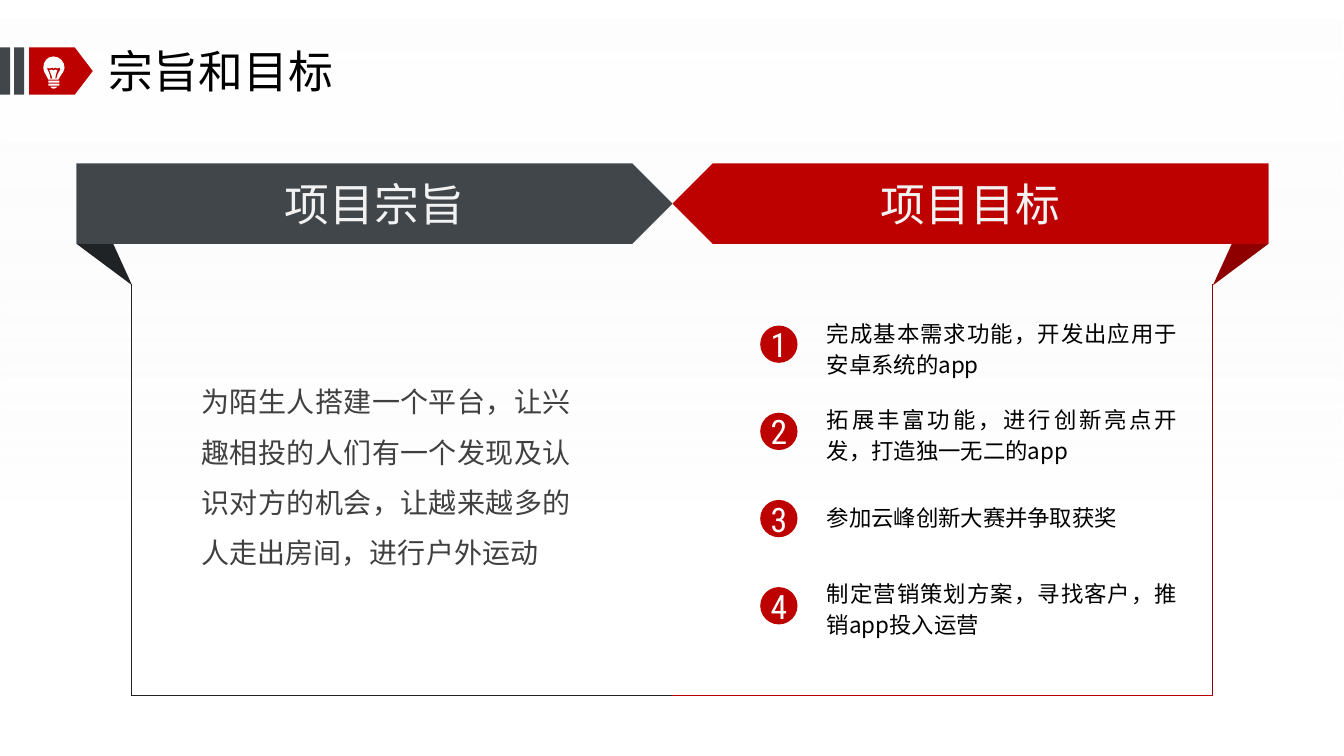
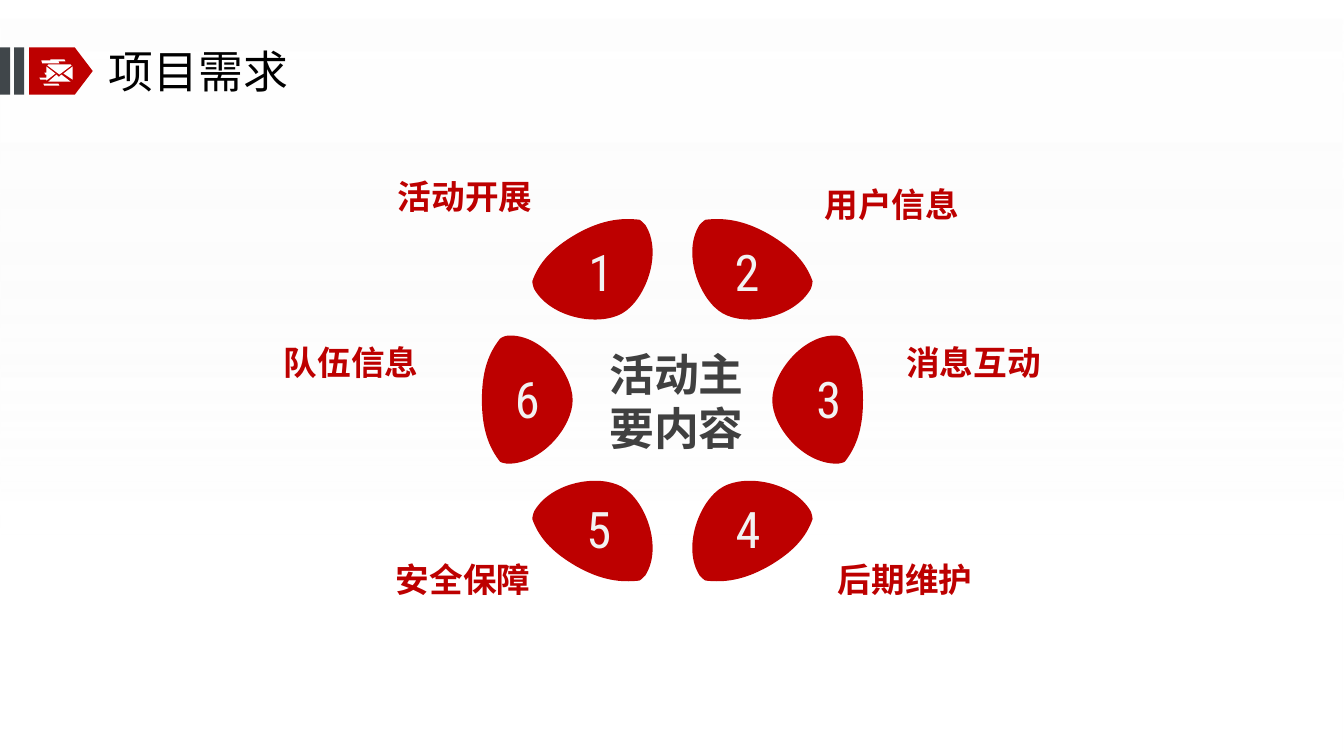
from lxml import etree
from pptx import Presentation
from pptx.dml.color import RGBColor
from pptx.enum.shapes import MSO_CONNECTOR, MSO_SHAPE
from pptx.enum.text import MSO_ANCHOR, PP_ALIGN
from pptx.oxml.ns import qn
from pptx.util import Inches, Pt

LEFT, CENTER, RIGHT, JUSTIFY = PP_ALIGN.LEFT, PP_ALIGN.CENTER, PP_ALIGN.RIGHT, PP_ALIGN.JUSTIFY
TOP, MIDDLE = MSO_ANCHOR.TOP, MSO_ANCHOR.MIDDLE
RECTANGLE, PENTAGON, OVAL = MSO_SHAPE.RECTANGLE, MSO_SHAPE.PENTAGON, MSO_SHAPE.OVAL
STRAIGHT = MSO_CONNECTOR.STRAIGHT

RED = RGBColor(0xBD, 0x00, 0x00)
RULE_RED = RGBColor(0xB9, 0x00, 0x00)
DARK_RED = RGBColor(0x8E, 0x00, 0x00)
GREY = RGBColor(0x40, 0x46, 0x4A)
DARK_GREY = RGBColor(0x20, 0x23, 0x25)
TEXT_GREY = RGBColor(0x40, 0x40, 0x40)
PALE = RGBColor(0xF2, 0xF2, 0xF2)
WHITE = RGBColor(0xFF, 0xFF, 0xFF)
BLACK = RGBColor(0x00, 0x00, 0x00)
HAN_FONT, NUMBER_FONT = "Noto Sans CJK SC", "Roboto Condensed"

PAGE_WIDTH, PAGE_HEIGHT = 13.33, 7.5
CENTER_X, WHEEL_Y = 6.67, 3.97

PURPOSE = "为陌生人搭建一个平台，让兴趣相投的人们有一个发现及认识对方的机会，让越来越多的人走出房间，进行户外运动"
GOALS = [
    (3.14, "完成基本需求功能，开发出应用于安卓系统的app"),
    (3.99, "拓展丰富功能，进行创新亮点开发，打造独一无二的app"),
    (4.96, "参加云峰创新大赛并争取获奖"),
    (5.72, "制定营销策划方案，寻找客户，推销app投入运营"),
]
PANELS = [
    ("项目宗旨", GREY, DARK_GREY, DARK_GREY, False),
    ("项目目标", RED, DARK_RED, RULE_RED, True),
]
BANNER_LEFT, BANNER_TOP, BANNER_HEIGHT = 0.76, 1.62, 0.8
FRAME_LEFT, FRAME_TOP, FRAME_BOTTOM = 1.3, 2.82, 6.9
FOLD = [[(0.76, 1.62), (1.31, 2.83), (0.76, 2.42)]]

CORNER_PETAL = [[
    (6.34, 2.18), (6.16, 2.16, 5.97, 2.18, 5.72, 2.32), (5.46, 2.47, 5.34, 2.62, 5.28, 2.79),
    (5.28, 2.81, 5.29, 2.85, 5.3, 2.87), (5.47, 3.16, 5.94, 3.24, 6.17, 3.11),
    (6.4, 2.98, 6.58, 2.51, 6.4, 2.23), (6.38, 2.21, 6.35, 2.18, 6.34, 2.18),
]]
SIDE_PETAL = [[
    (4.96, 3.36), (4.85, 3.5, 4.78, 3.67, 4.78, 3.97), (4.78, 4.26, 4.85, 4.44, 4.96, 4.58),
    (4.97, 4.59, 5.02, 4.6, 5.04, 4.6), (5.38, 4.6, 5.68, 4.23, 5.68, 3.97),
    (5.68, 3.7, 5.37, 3.31, 5.04, 3.33), (5.01, 3.33, 4.97, 3.35, 4.96, 3.36),
]]
TOPICS = [
    ("活动开展", CORNER_PETAL, False, False, (5.96, 2.69), (3.34, 1.75), RIGHT),
    ("用户信息", CORNER_PETAL, True, False, (7.41, 2.69), (8.18, 1.82), LEFT),
    ("消息互动", SIDE_PETAL, True, False, (8.22, 3.95), (8.99, 3.39), LEFT),
    ("后期维护", CORNER_PETAL, True, True, (7.42, 5.24), (8.31, 5.54), LEFT),
    ("安全保障", CORNER_PETAL, False, True, (5.94, 5.24), (3.32, 5.54), RIGHT),
    ("队伍信息", SIDE_PETAL, False, False, (5.23, 3.95), (2.21, 3.39), RIGHT),
]

BULB = [
    [(0.5, 0.86), (0.5, 0.87, 0.52, 0.88, 0.53, 0.88), (0.55, 0.88, 0.56, 0.87, 0.57, 0.86)],
    [(0.48, 0.83), (0.59, 0.83), (0.59, 0.85), (0.48, 0.85)],
    [(0.48, 0.8), (0.59, 0.8), (0.59, 0.82), (0.48, 0.82)],
    [(0.53, 0.56), (0.47, 0.56, 0.43, 0.61, 0.43, 0.67), (0.43, 0.71, 0.45, 0.73, 0.47, 0.77),
     (0.48, 0.79), (0.58, 0.79), (0.59, 0.77), (0.61, 0.73, 0.64, 0.71, 0.64, 0.67),
     (0.64, 0.61, 0.59, 0.56, 0.53, 0.56)],
    [(0.6, 0.69), (0.58, 0.71, 0.57, 0.74, 0.56, 0.78), (0.55, 0.78),
     (0.55, 0.74, 0.56, 0.72, 0.57, 0.7), (0.55, 0.69), (0.53, 0.7), (0.51, 0.69), (0.49, 0.7),
     (0.51, 0.73, 0.51, 0.76, 0.52, 0.78), (0.5, 0.78), (0.5, 0.76, 0.49, 0.72, 0.47, 0.69),
     (0.47, 0.67), (0.49, 0.68), (0.52, 0.67), (0.53, 0.68), (0.55, 0.67), (0.57, 0.68),
     (0.59, 0.67)],
]
ENVELOPE = [
    [(0.48, 0.64), (0.7, 0.64), (0.71, 0.65), (0.59, 0.74), (0.47, 0.65)],
    [(0.44, 0.72), (0.45, 0.74), (0.46, 0.74), (0.46, 0.77), (0.39, 0.77), (0.4, 0.79),
     (0.46, 0.79), (0.46, 0.8), (0.55, 0.73), (0.46, 0.66), (0.46, 0.72)],
    [(0.43, 0.83), (0.58, 0.83), (0.59, 0.85), (0.44, 0.85)],
    [(0.5, 0.59), (0.64, 0.59), (0.65, 0.61), (0.58, 0.61), (0.59, 0.63), (0.42, 0.63),
     (0.41, 0.6), (0.5, 0.6)],
    [(0.72, 0.66), (0.63, 0.73), (0.72, 0.79)],
    [(0.7, 0.81), (0.48, 0.81), (0.56, 0.74), (0.58, 0.76), (0.59, 0.76), (0.61, 0.74)],
]


def write(shape, text, size=16, color=BLACK, font=HAN_FONT, bold=False, align=LEFT,
          anchor=TOP, spacing=None, wrap=True):
    frame = shape.text_frame
    frame.word_wrap = wrap
    frame.vertical_anchor = anchor
    frame.margin_left = frame.margin_right = frame.margin_top = frame.margin_bottom = 0
    para = frame.paragraphs[0]
    para.alignment = align
    para._p.get_or_add_pPr().set("hangingPunct", "0")
    if spacing:
        para.line_spacing = spacing
    span = para.add_run()
    span.text = text
    span.font.size = Pt(size)
    span.font.bold = bold
    span.font.color.rgb = color
    span.font.name = font
    etree.SubElement(span.font._element, qn("a:ea"), typeface=font)


def add_text(page, left, top, width, height, text, **style):
    box = page.shapes.add_textbox(Inches(left), Inches(top), Inches(width), Inches(height))
    write(box, text, **style)


def paint(shape, color):
    shape.shadow.inherit = False
    shape.fill.solid()
    shape.fill.fore_color.rgb = color
    shape.line.fill.background()


def add_block(page, kind, left, top, width, height, color):
    shape = page.shapes.add_shape(kind, Inches(left), Inches(top), Inches(width), Inches(height))
    paint(shape, color)
    return shape


def add_rule(page, x1, y1, x2, y2, color):
    rule = page.shapes.add_connector(STRAIGHT, Inches(x1), Inches(y1), Inches(x2), Inches(y2))
    rule.line.color.rgb = color
    rule.line.width = Pt(0.75)
    etree.SubElement(rule._element.spPr, qn("a:effectLst"))


def bend(shape, sizes):
    lines = iter(list(shape._element.iter(qn("a:lnTo"))))
    for size in sizes:
        segment = next(lines)
        if size == 3:
            segment.tag = qn("a:cubicBezTo")
            for extra in (next(lines), next(lines)):
                segment.append(extra[0])
                extra.getparent().remove(extra)


def add_outline(page, contours, color, flip_x=False, flip_y=False):
    builder, sizes = None, []
    for contour in contours:
        sizes += [len(segment) // 2 for segment in contour[1:]]
        pairs = [pair for segment in contour for pair in zip(segment[::2], segment[1::2])]
        points = [(Inches(2 * CENTER_X - x if flip_x else x), Inches(2 * WHEEL_Y - y if flip_y else y))
                  for x, y in pairs]
        if builder is None:
            builder = page.shapes.build_freeform(*points[0])
        else:
            builder.move_to(*points[0])
        builder.add_line_segments(points[1:], close=True)
    shape = builder.convert_to_shape()
    bend(shape, sizes)
    paint(shape, color)


def add_page(deck, title, icon):
    page = deck.slides.add_slide(deck.slide_layouts[6])
    veil = add_block(page, RECTANGLE, 0, 0, PAGE_WIDTH, PAGE_HEIGHT, WHITE)
    veil.fill.gradient()
    veil.fill.gradient_angle = 270
    for stop, position, color in zip(veil.fill.gradient_stops, (0, 0.71), (WHITE, PALE)):
        stop.position = position
        stop.color.rgb = color
    for node, alpha in zip(veil._element.spPr.iter(qn("a:srgbClr")), ("55000", "0")):
        etree.SubElement(node, qn("a:alpha"), val=alpha)
    tag = add_block(page, PENTAGON, 0.29, 0.47, 0.63, 0.47, RED)
    tag.adjustments[0] = 0.38
    for left in (0.14, 0):
        add_block(page, RECTANGLE, left, 0.47, 0.1, 0.47, GREY)
    add_outline(page, icon, WHITE)
    add_text(page, 1.08, 0.43, 5.51, 0.55, title, size=32, anchor=MIDDLE)
    return page


def build_goals(deck):
    page = add_page(deck, "宗旨和目标", BULB)
    width = CENTER_X - BANNER_LEFT
    for heading, color, shade, base, mirrored in PANELS:
        left = CENTER_X if mirrored else BANNER_LEFT
        side = PAGE_WIDTH - FRAME_LEFT if mirrored else FRAME_LEFT
        add_outline(page, FOLD, shade, flip_x=mirrored)
        add_rule(page, side, FRAME_TOP, side, FRAME_BOTTOM, shade)
        add_rule(page, min(side, CENTER_X), FRAME_BOTTOM, max(side, CENTER_X), FRAME_BOTTOM, base)
        banner = add_block(page, PENTAGON, left, BANNER_TOP, width, BANNER_HEIGHT, color)
        banner.rotation = 180 if mirrored else 0
        add_text(page, left, BANNER_TOP, width, BANNER_HEIGHT, heading, size=32, color=PALE,
                 align=CENTER, anchor=MIDDLE)
    add_text(page, 2, 3.65, 3.66, 2.02, PURPOSE, size=20, color=TEXT_GREY, align=JUSTIFY,
             spacing=1.5)
    for index, (top, goal) in enumerate(GOALS):
        badge = add_block(page, OVAL, 7.54, 3.23 + index * 0.865, 0.37, 0.37, RED)
        write(badge, str(index + 1), size=24, color=WHITE, font=NUMBER_FONT, align=CENTER,
              anchor=MIDDLE, wrap=False)
        add_text(page, 8.2, top, 3.48, 0.62, goal, align=JUSTIFY, spacing=Pt(22))


def build_needs(deck):
    page = add_page(deck, "项目需求", ENVELOPE)
    add_text(page, 5.98, 3.44, 1.46, 1.08, "活动主要内容", size=32, color=TEXT_GREY, bold=True,
             align=CENTER)
    for number, (label, petal, flip_x, flip_y, middle, corner, align) in enumerate(TOPICS, 1):
        add_outline(page, petal, RED, flip_x, flip_y)
        add_text(page, middle[0] - 0.2, middle[1] - 0.3, 0.4, 0.6, str(number), size=36,
                 color=PALE, font=NUMBER_FONT, align=CENTER, anchor=MIDDLE)
        add_text(page, *corner, 1.94, 0.4, label, size=24, color=RED, bold=True, align=align)


def main():
    deck = Presentation()
    deck.slide_width, deck.slide_height = Inches(PAGE_WIDTH), Inches(PAGE_HEIGHT)
    build_goals(deck)
    build_needs(deck)
    deck.save("out.pptx")


if __name__ == "__main__":
    main()
